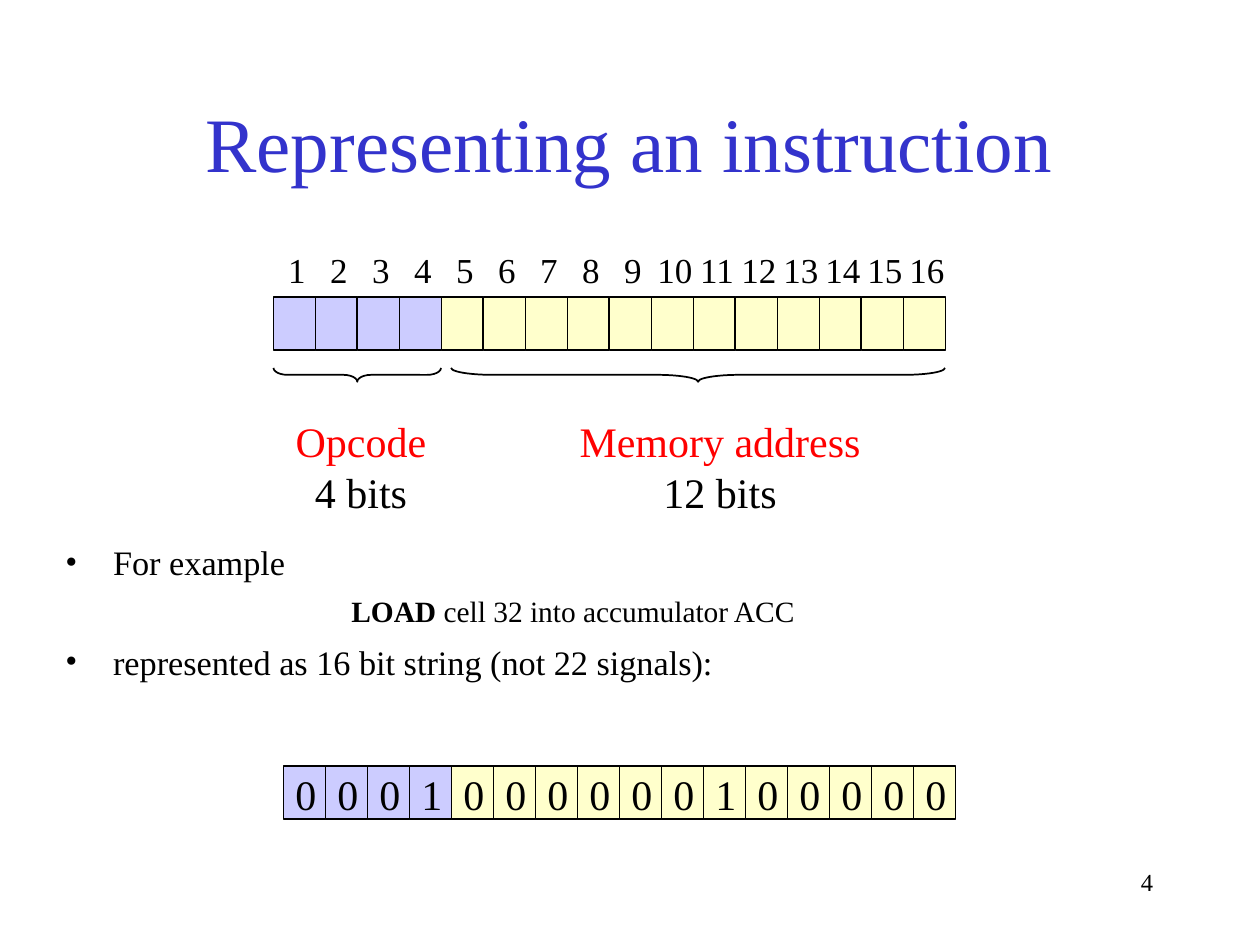
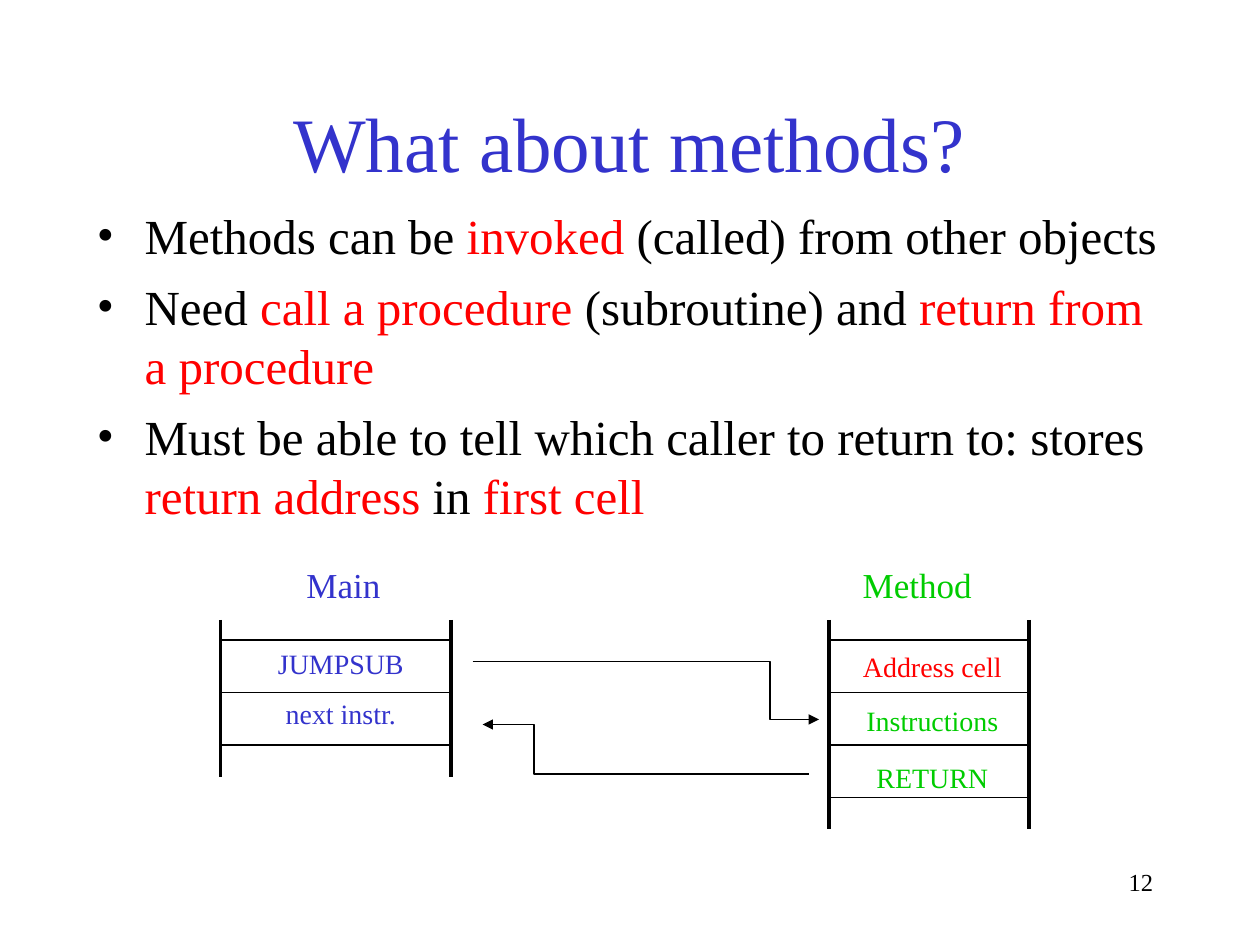
from dataclasses import dataclass

from lxml import etree
from pptx import Presentation
from pptx.dml.color import RGBColor
from pptx.enum.shapes import MSO_CONNECTOR, MSO_SHAPE
from pptx.enum.text import MSO_ANCHOR, PP_ALIGN
from pptx.oxml.ns import qn
from pptx.util import Inches, Pt

LEFT, CENTER, RIGHT = PP_ALIGN.LEFT, PP_ALIGN.CENTER, PP_ALIGN.RIGHT
TOP, MIDDLE = MSO_ANCHOR.TOP, MSO_ANCHOR.MIDDLE
RECTANGLE, BRACE = MSO_SHAPE.RECTANGLE, MSO_SHAPE.RIGHT_BRACE
STRAIGHT = MSO_CONNECTOR.STRAIGHT


@dataclass(frozen=True)
class Theme:
    font: str = "Times New Roman"
    black: str = "000000"
    blue: str = "3333CC"
    red: str = "FF0000"
    green: str = "00CC00"
    opcode_fill: str = "CCCCFF"
    address_fill: str = "FFFFCC"
    title: float = 44
    body: float = 28
    field: float = 24
    label: float = 20
    example: float = 19.6
    example_detail: float = 16.8
    code: float = 16
    number: float = 14
    thin: float = 1
    thick: float = 2.25


THEME = Theme()
TITLE_AT = (0.33, 0.5, 9.33, 1.25)
NUMBER_AT = (7.17, 6.83, 2.08, 0.5)

# A paragraph is (runs, format); a run is (text, format).
BULLET = {"bullet": True, "margin": 0.38, "hang": -0.38, "space_before": Pt(7)}
RED = {"color": THEME.red}
GREEN = {"color": THEME.green}
BLUE = {"color": THEME.blue}

# Instruction slide
CELL_WIDTH, CELL_HEIGHT = 1 / 3, 0.42
OPCODE_BITS, WORD_BITS = 4, 16
LAYOUT_AT = (2.17, 2.36)
BIT_NUMBERS_AT = (2.19, 1.92)
EXAMPLE_AT = (2.25, 6.08)
EXAMPLE_WORD = "0001000000100000"
BRACE_TOP, BRACE_DEPTH = 2.92, 0.11
BRACES = [(2.17, 3.5), (3.58, 7.5)]
FIELDS = [
    ((2.25, 3.25, 1.23, 0.9), "Opcode", "4 bits"),
    ((4.5, 3.25, 2.43, 0.9), "Memory address", "12 bits"),
]
EXAMPLE_TEXT_AT = (0.42, 4.25, 9.33, 1.58)
EXAMPLE_TEXT = [
    ([("For example", {})], BULLET),
    ([("LOAD", {"size": THEME.example_detail, "bold": True}),
      (" cell 32 into accumulator ACC", {"size": THEME.example_detail})],
     {"margin": 2.27, "space_before": Pt(6)}),
    ([("represented as 16 bit string (not 22 signals):", {})], BULLET),
]

# Methods slide
METHODS_AT = (0.67, 1.58, 8.67, 2.67)
METHODS_TEXT = [
    ([("Methods can be ", {}), ("invoked", RED),
      (" (called) from other objects", {})], BULLET),
    ([("Need ", {}), ("call a procedure ", RED), ("(subroutine) and ", {}),
      ("return from a procedure", RED)], BULLET),
    ([("Must be able to tell which caller to return to: stores", {}),
      (" return address ", RED), ("in", {}), (" first cell", RED)], BULLET),
]
MEMORY_TOP, ROW_TOP, ROW_HEIGHT = 4.92, 5.08, 1.25 / 3
MEMORIES = [
    {"left": 1.75, "right": 3.58, "bottom": 6.17, "dividers": 3,
     "name": ("Main", BLUE), "name_at": (2.33, 4.42, 0.79, 0.44),
     "code_at": (2.08, 5.08, 1.25, 0.77),
     "code": [("JUMPSUB", BLUE, 1.0), ("next instr.", BLUE, 1.5)]},
    {"left": 6.58, "right": 8.17, "bottom": 6.58, "dividers": 4,
     "name": ("Method", GREEN), "name_at": (6.75, 4.42, 1.06, 0.44),
     "code_at": (6.75, 5.08, 1.3, 1.27),
     "code": [("Address cell", RED, 1.1), ("Instructions", GREEN, 1.6),
              ("RETURN", GREEN, 1.7)]},
]
JUMPS = [
    [(3.75, 5.25), (6.11, 5.25), (6.11, 5.71), (6.5, 5.71)],
    [(6.42, 6.14), (4.24, 6.14), (4.24, 5.75), (3.83, 5.75)],
]


def inches(values):
    return [Inches(value) for value in values]


def set_all(target, values):
    for name, value in values.items():
        setattr(target, name, value)


def style_line(shape, width=THEME.thin):
    shape.line.color.rgb = RGBColor.from_string(THEME.black)
    shape.line.width = Pt(width)


def set_indent(para, style):
    properties = para._p.get_or_add_pPr()
    properties.set("marL", str(Inches(style.get("margin", 0))))
    properties.set("indent", str(Inches(style.get("hang", 0))))
    if style.get("bullet"):
        font = etree.SubElement(properties, qn("a:buFont"))
        font.set("typeface", THEME.font)
        etree.SubElement(properties, qn("a:buChar")).set("char", "•")


def fill_paragraph(para, runs, size):
    for text, style in runs:
        span = para.add_run()
        span.text = text
        set_all(span.font, {"name": THEME.font,
                            "size": Pt(style.get("size", size)),
                            "bold": style.get("bold", False)})
        color = style.get("color", THEME.black)
        span.font.color.rgb = RGBColor.from_string(color)


def add_text(slide, at, paragraphs, size, align=LEFT, anchor=TOP):
    """Add a text box; centred text may use the full width of its box."""
    frame = slide.shapes.add_textbox(*inches(at)).text_frame
    set_all(frame, {"word_wrap": True, "vertical_anchor": anchor})
    if align == CENTER:
        set_all(frame, {"margin_left": 0, "margin_right": 0})
    for index, (runs, style) in enumerate(paragraphs):
        para = frame.add_paragraph() if index else frame.paragraphs[0]
        set_indent(para, style)
        para.alignment = align
        if index and "space_before" in style:
            para.space_before = style["space_before"]
        if "line_spacing" in style:
            para.line_spacing = style["line_spacing"]
        fill_paragraph(para, runs, size)


def add_slide(deck, title, number):
    slide = deck.slides.add_slide(deck.slide_layouts[6])
    add_text(slide, TITLE_AT, [([(title, BLUE)], {})], THEME.title,
             CENTER, MIDDLE)
    add_text(slide, NUMBER_AT, [([(str(number), {})], {})], THEME.number,
             RIGHT)
    return slide


def add_word(slide, at, digits=""):
    """Draw the row of bit cells, with a digit in each if given."""
    left, top = at
    for bit in range(WORD_BITS):
        cell = slide.shapes.add_shape(RECTANGLE, *inches(
            (left + bit * CELL_WIDTH, top, CELL_WIDTH, CELL_HEIGHT)))
        cell.shadow.inherit = False
        cell.fill.solid()
        cell.fill.fore_color.rgb = RGBColor.from_string(
            THEME.opcode_fill if bit < OPCODE_BITS else THEME.address_fill)
        style_line(cell)
        if digits:
            frame = cell.text_frame
            set_all(frame, {"margin_left": Inches(0.02), "margin_right": 0,
                            "margin_top": Inches(0.02), "margin_bottom": 0,
                            "word_wrap": False, "vertical_anchor": MIDDLE})
            frame.paragraphs[0].alignment = CENTER
            fill_paragraph(frame.paragraphs[0], [(digits[bit], {})],
                           THEME.field)


def add_bit_numbers(slide):
    left, top = BIT_NUMBERS_AT
    for bit in range(WORD_BITS):
        add_text(slide, (left + bit * CELL_WIDTH, top, CELL_WIDTH, 0.44),
                 [([(str(bit + 1), {})], {})], THEME.label, CENTER)


def add_brace(slide, left, right):
    length = right - left
    brace = slide.shapes.add_shape(BRACE, *inches(
        ((left + right - BRACE_DEPTH) / 2,
         BRACE_TOP + (BRACE_DEPTH - length) / 2, BRACE_DEPTH, length)))
    brace.rotation = 90
    brace.adjustments[0] = length / 12 / BRACE_DEPTH
    brace.shadow.inherit = False
    brace.fill.background()
    style_line(brace)


def add_line(slide, start, end, width=THEME.thin):
    line = slide.shapes.add_connector(STRAIGHT, *inches(start + end))
    style_line(line, width)
    etree.SubElement(line._element.spPr, qn("a:effectLst"))


def add_jump(slide, points):
    corners = [inches(point) for point in points]
    builder = slide.shapes.build_freeform(*corners[0])
    builder.add_line_segments(corners[1:], close=False)
    arrow = builder.convert_to_shape()
    arrow.shadow.inherit = False
    arrow.fill.background()
    style_line(arrow)
    head = etree.SubElement(arrow.line._get_or_add_ln(), qn("a:tailEnd"))
    head.set("type", "triangle")


def add_memory(slide, memory):
    left, right = memory["left"], memory["right"]
    for side in (left, right):
        add_line(slide, (side, MEMORY_TOP), (side, memory["bottom"]),
                 THEME.thick)
    for row in range(memory["dividers"]):
        height = ROW_TOP + row * ROW_HEIGHT
        add_line(slide, (left, height), (right, height))
    add_text(slide, memory["name_at"], [([memory["name"]], {})], THEME.label,
             CENTER, MIDDLE)
    code = [([(text, color)], {"line_spacing": spacing})
            for text, color, spacing in memory["code"]]
    add_text(slide, memory["code_at"], code, THEME.code, CENTER, MIDDLE)


def build_instruction(deck):
    slide = add_slide(deck, "Representing an instruction", 4)
    add_text(slide, EXAMPLE_TEXT_AT, EXAMPLE_TEXT, THEME.example)
    add_bit_numbers(slide)
    add_word(slide, LAYOUT_AT)
    for left, right in BRACES:
        add_brace(slide, left, right)
    for at, name, size in FIELDS:
        add_text(slide, at, [([(name, RED)], {}), ([(size, {})], {})],
                 THEME.field, CENTER)
    add_word(slide, EXAMPLE_AT, EXAMPLE_WORD)


def build_methods(deck):
    slide = add_slide(deck, "What about methods?", 12)
    add_text(slide, METHODS_AT, METHODS_TEXT, THEME.body)
    for memory in MEMORIES:
        add_memory(slide, memory)
    for points in JUMPS:
        add_jump(slide, points)


def main():
    deck = Presentation()
    set_all(deck, {"slide_width": Inches(10), "slide_height": Inches(7.5)})
    build_instruction(deck)
    build_methods(deck)
    deck.save("out.pptx")


if __name__ == "__main__":
    main()
